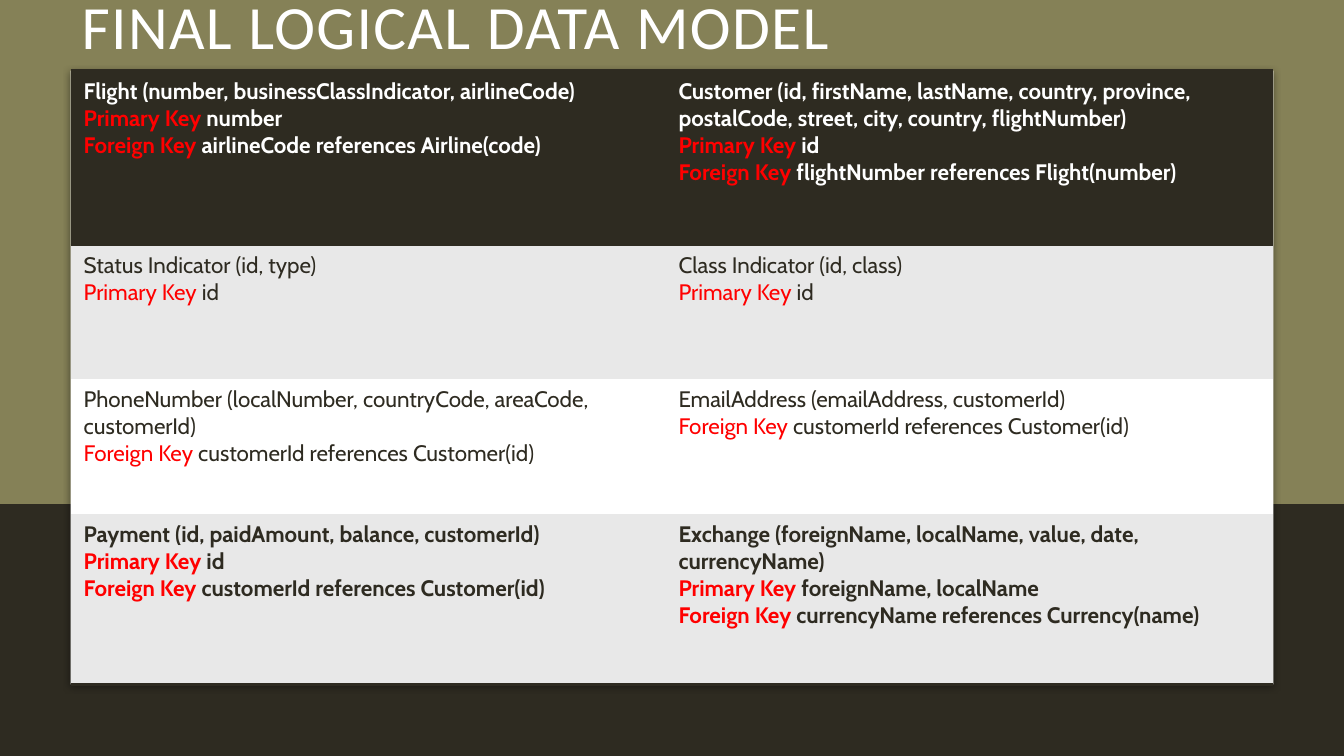
"""Build the slide showing the final logical data model as a table of relations."""
import pptx
import pptx.dml.color
import pptx.enum.shapes
import pptx.enum.text
import pptx.oxml
import pptx.oxml.ns
import pptx.util

Inches, Pt = pptx.util.Inches, pptx.util.Pt
RGBColor = pptx.dml.color.RGBColor

DARK = RGBColor(0x2E, 0x2B, 0x21)
OLIVE = RGBColor(0x85, 0x81, 0x57)
WHITE = RGBColor(0xFF, 0xFF, 0xFF)
GREY = RGBColor(0xE8, 0xE8, 0xE8)
RED = RGBColor(0xFF, 0x00, 0x00)
NO_STYLE = "{2D5ABB26-0587-4C30-8999-92F81FD0307C}"

RELATIONS = [
    [["Flight (number, businessClassIndicator, airlineCode)",
      "Primary Key number",
      "Foreign Key airlineCode references Airline(code)"],
     ["Customer (id, firstName, lastName, country, province, "
      "postalCode, street, city, country, flightNumber)",
      "Primary Key id",
      "Foreign Key flightNumber references Flight(number)"]],
    [["Status Indicator (id, type)", "Primary Key id"],
     ["Class Indicator (id, class)", "Primary Key id"]],
    [["PhoneNumber (localNumber, countryCode, areaCode, customerId)",
      "Foreign Key customerId references Customer(id)"],
     ["EmailAddress (emailAddress, customerId)",
      "Foreign Key customerId references Customer(id)"]],
    [["Payment (id, paidAmount, balance, customerId)",
      "Primary Key id",
      "Foreign Key customerId references Customer(id)"],
     ["Exchange (foreignName, localName, value, date, currencyName)",
      "Primary Key foreignName, localName",
      "Foreign Key currencyName references Currency(name)"]],
]
COLUMN_WIDTHS = [5.9, 6.03]
# Height, fill, text colour, bold, ruled edges
ROW_STYLES = [
    (1.73, DARK, WHITE, True, ["lnT", "lnB"]),
    (1.33, GREY, DARK, False, []),
    (1.34, WHITE, DARK, False, []),
    (1.69, GREY, DARK, True, ["lnB"]),
]


def add_panel(left, top, width, height, color):
    panel = slide.shapes.add_shape(
        pptx.enum.shapes.MSO_SHAPE.RECTANGLE,
        Inches(left), Inches(top), Inches(width), Inches(height))
    panel.fill.solid()
    panel.fill.fore_color.rgb = color
    panel.line.fill.background()
    panel.shadow.inherit = False
    return panel


def parse_drawing(tag, attributes, content):
    return pptx.oxml.parse_xml(
        f'<a:{tag} {pptx.oxml.ns.nsdecls("a")} {attributes}>{content}</a:{tag}>')


deck = pptx.Presentation()
deck.slide_width, deck.slide_height = Inches(13.33), Inches(7.5)
slide = deck.slides.add_slide(deck.slide_layouts[5])
slide.background.fill.solid()
slide.background.fill.fore_color.rgb = DARK

add_panel(0, 0, 13.33, 5, OLIVE)
backing = add_panel(0.7, 0.7, 11.93, 6.09, WHITE)
backing.element.spPr.find(pptx.oxml.ns.qn("a:effectLst")).append(parse_drawing(
    "outerShdw",
    f'blurRad="{Pt(5)}" dist="{Pt(1.4)}" dir="5400000" algn="t" rotWithShape="0"',
    '<a:srgbClr val="000000"><a:alpha val="43000"/></a:srgbClr>'))

frame = slide.shapes.add_table(
    len(RELATIONS), len(COLUMN_WIDTHS),
    Inches(0.7), Inches(0.7), Inches(11.93), Inches(6.09))
model = frame.table
model.first_row = model.horz_banding = False
model._tbl.tblPr.find(pptx.oxml.ns.qn("a:tableStyleId")).text = NO_STYLE
for column, width in zip(model.columns, COLUMN_WIDTHS):
    column.width = Inches(width)

for row, relations, (height, fill, ink, bold, edges) in zip(
        model.rows, RELATIONS, ROW_STYLES):
    row.height = Inches(height)
    for cell, lines in zip(row.cells, relations):
        cell.margin_left = cell.margin_right = Inches(0.13)
        cell.margin_top = cell.margin_bottom = Inches(0.07)
        cell.fill.solid()
        cell.fill.fore_color.rgb = fill
        for position, edge in enumerate(edges):
            cell._tc.tcPr.insert(position, parse_drawing(
                edge, f'w="{Pt(2)}"',
                f'<a:solidFill><a:srgbClr val="{DARK}"/></a:solidFill>'))
        for number, line in enumerate(lines):
            text = cell.text_frame
            paragraph = text.add_paragraph() if number else text.paragraphs[0]
            paragraph.font.name = "Cabin"
            paragraph.font.size = Pt(16)
            paragraph.font.bold = bold
            before, key, after = line.partition(" Key")
            parts = [(before + key, RED), (after, ink)] if key else [(line, ink)]
            for words, color in parts:
                run = paragraph.add_run()
                run.text = words
                run.font.color.rgb = color

title = slide.shapes.title
slide.shapes._spTree.append(title.element)
title.left, title.top = Inches(0.71), Inches(-0.06)
title.width, title.height = Inches(11.62), Inches(0.76)
title.text_frame.text = "FINAL LOGICAL DATA MODEL"
title.text_frame.word_wrap = True
title.text_frame.auto_size = pptx.enum.text.MSO_AUTO_SIZE.NONE
title.text_frame.vertical_anchor = pptx.enum.text.MSO_ANCHOR.MIDDLE
heading = title.text_frame.paragraphs[0]
heading.alignment = pptx.enum.text.PP_ALIGN.LEFT
heading.line_spacing = 0.8
heading.font.name = "Calibri"
heading.font.size = Pt(43.9)
heading.font.color.rgb = WHITE
heading.runs[0].font._element.set("spc", "100")

deck.save("out.pptx")
